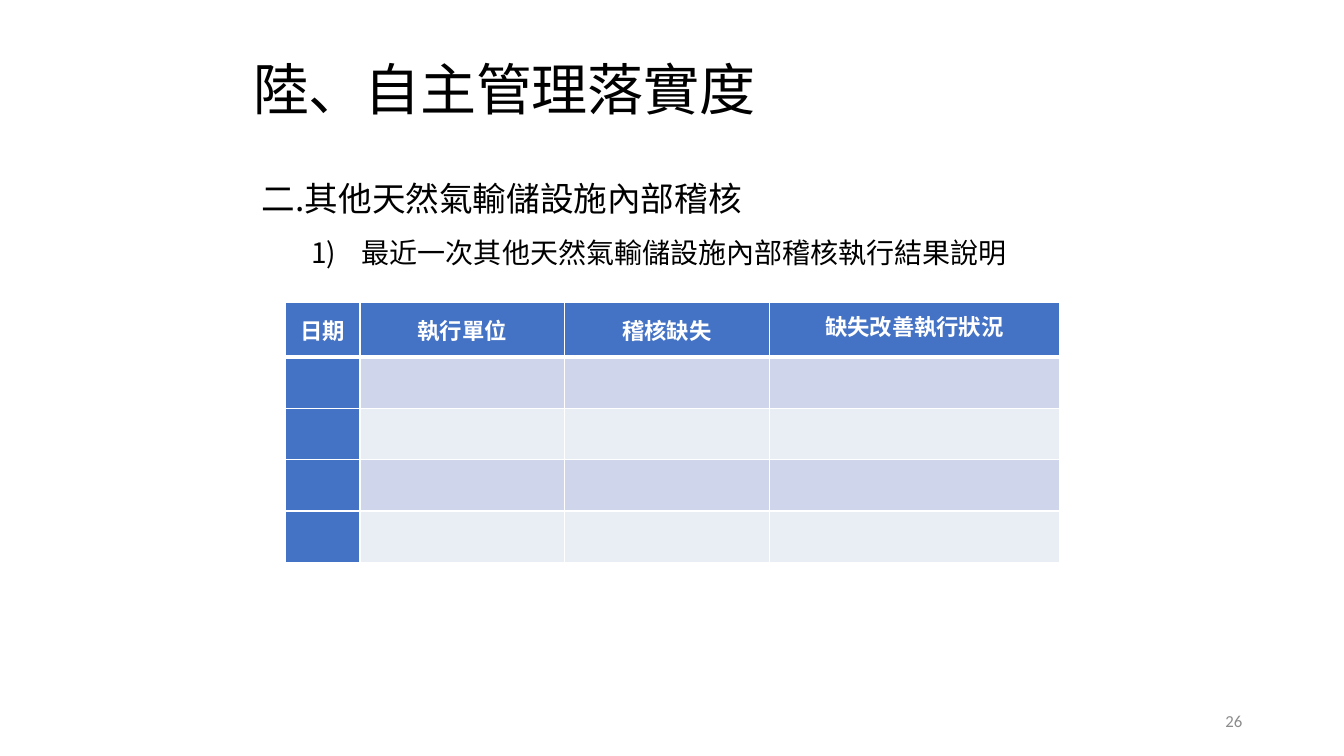
import pptx
import pptx.dml.color
import pptx.enum.text
import pptx.oxml
import pptx.oxml.ns
import pptx.util

PX = 9144  # EMU per px, 100 px to the inch
CJK = "Noto Sans CJK SC"
COLORS = {
    "text": "000000",
    "number": "8C8C8C",
    "white": "FFFFFF",
    "header": "4472C4",
    "odd": "CFD5EA",
    "even": "E9EDF4",
}
ALIGN = pptx.enum.text.PP_ALIGN
MIDDLE = pptx.enum.text.MSO_ANCHOR.MIDDLE
GROW = pptx.enum.text.MSO_AUTO_SIZE.SHAPE_TO_FIT_TEXT
NSDECLS = pptx.oxml.ns.nsdecls("a")


def rgb(color):
    return pptx.dml.color.RGBColor.from_string(COLORS[color])


def add_xml(parent, tag, attributes="", content=""):
    parent.append(pptx.oxml.parse_xml(f"<a:{tag} {NSDECLS} {attributes}>{content}</a:{tag}>"))


class SlideBuilder:
    def __init__(self, width, height):
        self.deck = pptx.Presentation()
        self.deck.slide_width = width * PX
        self.deck.slide_height = height * PX
        self.slide = self.deck.slides.add_slide(self.deck.slide_layouts[6])

    def style(self, paragraph, size, color, font=CJK, bold=False):
        for run in paragraph.runs:
            run.font.size = pptx.util.Pt(size)
            run.font.bold = bold
            run.font.color.rgb = rgb(color)
            run.font.name = font
            add_xml(run.font._element, "ea", f'typeface="{font}"')

    def text(self, left, top, width, height, lines, grow=True):
        """Add a middle-anchored box with one paragraph per line."""
        box = self.slide.shapes.add_textbox(left * PX, top * PX, width * PX, height * PX)
        frame = box.text_frame
        frame.word_wrap = True
        frame.vertical_anchor = MIDDLE
        if grow:
            frame.auto_size = GROW
        frame.text = "\n".join(lines)
        return frame

    def borders(self, cell, top, bottom):
        """Draw white cell borders; top and bottom are widths in points."""
        properties = cell._tc.get_or_add_tcPr()
        fill = f'<a:solidFill><a:srgbClr val="{COLORS["white"]}"/></a:solidFill>'
        for side, points in (("L", 1), ("R", 1), ("T", top), ("B", bottom)):
            add_xml(properties, f"ln{side}", f'w="{pptx.util.Pt(points)}"', fill)

    def table(self, left, top, columns, rows, headings):
        frame = self.slide.shapes.add_table(
            len(rows), len(columns), left * PX, top * PX, sum(columns) * PX, sum(rows) * PX)
        table = frame.table
        for column, width in zip(table.columns, columns):
            column.width = width * PX
        for r, height in enumerate(rows):
            table.rows[r].height = height * PX
            band = "odd" if r % 2 else "even"
            for c in range(len(columns)):
                cell = table.cell(r, c)
                self.borders(cell, top=3 if r == 1 else 1, bottom=3 if r == 0 else 1)
                cell.fill.solid()
                cell.fill.fore_color.rgb = rgb("header" if r == 0 or c == 0 else band)
        for cell, heading in zip(table.rows[0].cells, headings):
            cell.vertical_anchor = MIDDLE
            cell.margin_left = cell.margin_right = 7 * PX
            cell.margin_top = cell.margin_bottom = 0
            cell.text_frame.text = heading
            paragraph = cell.text_frame.paragraphs[0]
            paragraph.alignment = ALIGN.CENTER
            self.style(paragraph, 16, "white", bold=True)
        return table


def main():
    page = SlideBuilder(1333, 750)

    title = page.text(250, 61, 763, 61, ["陸、自主管理落實度"])
    title.margin_left = title.margin_right = title.margin_top = title.margin_bottom = 0
    heading = title.paragraphs[0]
    heading.line_spacing = 0.9
    heading._p.get_or_add_pPr().set("marL", str(PX))
    page.style(heading, 40, "text")
    heading.runs[0].font._element.set("spc", "-10")

    number = page.text(942, 695, 300, 40, ["26"], grow=False).paragraphs[0]
    number.alignment = ALIGN.RIGHT
    page.style(number, 12, "number", font="Calibri")

    audit_table = page.table(
        283, 300, [74, 203, 203, 288], [54] + [51] * 4,
        ["日期", "執行單位", "稽核缺失", "缺失改善執行狀況"])
    improvement = audit_table.cell(0, 3).text_frame.paragraphs[0]
    improvement.line_spacing = pptx.util.Pt(18)

    section, item = page.text(
        250, 154, 783, 115,
        ["二.其他天然氣輸儲設施內部稽核", "最近一次其他天然氣輸儲設施內部稽核執行結果說明"]).paragraphs
    section.line_spacing = item.line_spacing = 1.5
    item_properties = item._p.get_or_add_pPr()
    item_properties.set("marL", str(99 * PX))
    item_properties.set("indent", str(-50 * PX))
    add_xml(item_properties, "buFont", f'typeface="{CJK}"')
    add_xml(item_properties, "buAutoNum", 'type="arabicParenR"')
    page.style(section, 24, "text")
    page.style(item, 20, "text")

    page.deck.save("out.pptx")


if __name__ == "__main__":
    main()
